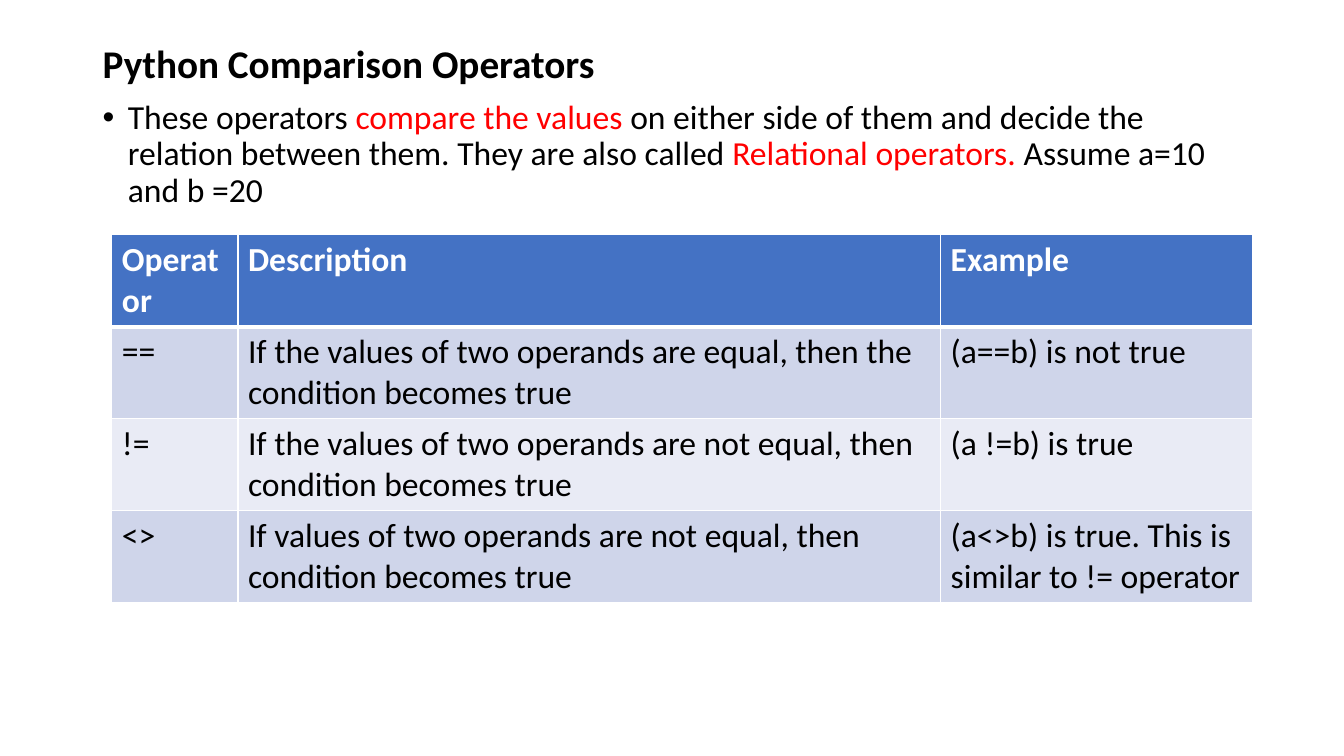
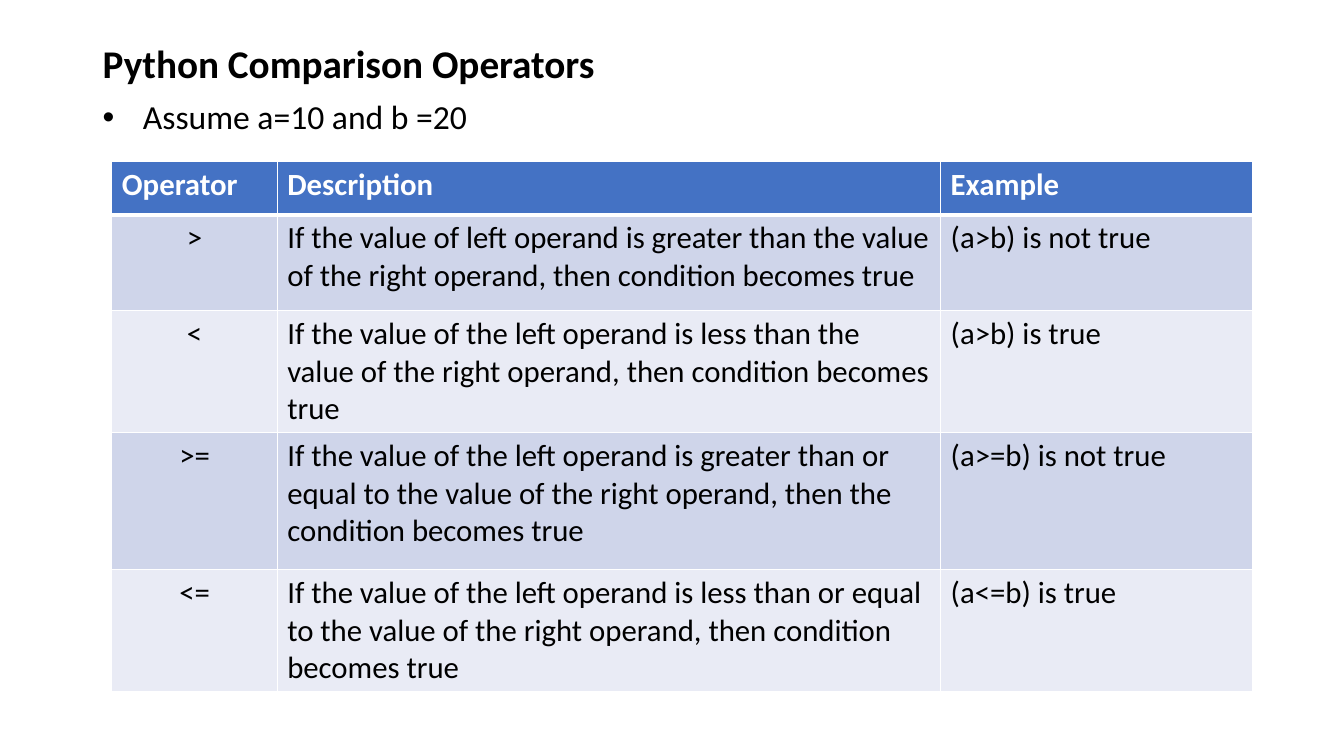
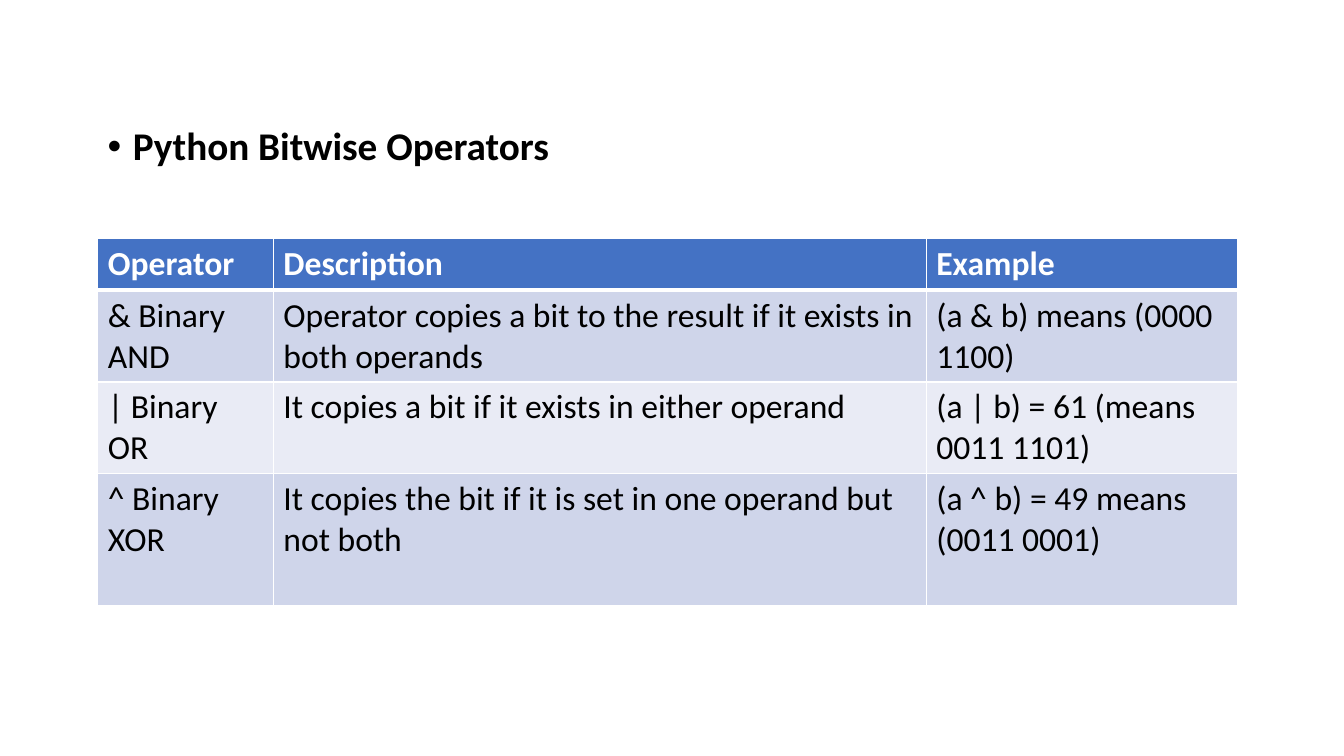
from dataclasses import dataclass

from lxml import etree
from pptx import Presentation
from pptx.dml.color import RGBColor
from pptx.enum.text import PP_ALIGN
from pptx.oxml.ns import qn
from pptx.util import Inches, Pt

FONT = "Calibri"
BLACK = RGBColor(0x00, 0x00, 0x00)
WHITE = RGBColor(0xFF, 0xFF, 0xFF)
RED = RGBColor(0xFF, 0x00, 0x00)
HEADER_BLUE = RGBColor(0x44, 0x72, 0xC4)
BANDS = (RGBColor(0xCF, 0xD5, 0xEA), RGBColor(0xE9, 0xEB, 0xF5))
LEFT, CENTER = PP_ALIGN.LEFT, PP_ALIGN.CENTER

SLIDE_WIDTH, SLIDE_HEIGHT = 13.33, 7.5
TITLE_SIZE, BODY_SIZE = 28, 24
BULLET_INDENT = 0.25
THIN, THICK = 1, 3
HEADINGS = ("Operator", "Description", "Example")


@dataclass
class Box:
    left: float
    top: float
    width: float
    height: float

    def place(self):
        return [Inches(length) for length in (self.left, self.top, self.width, self.height)]


@dataclass
class Line:
    runs: list
    size: int = BODY_SIZE
    bold: bool = False
    indent: float = 0


def title_line(text, indent=0):
    return Line([(text, BLACK)], TITLE_SIZE, True, indent)


def set_font(paragraph, size, bold, color):
    font = paragraph.font
    font.name, font.size, font.bold = FONT, Pt(size), bold
    font.color.rgb = color


def add_bullet(paragraph, indent):
    properties = paragraph._p.get_or_add_pPr()
    properties.set("marL", str(Inches(indent)))
    properties.set("indent", str(-Inches(indent)))
    etree.SubElement(properties, qn("a:buFont"), typeface="Arial")
    etree.SubElement(properties, qn("a:buChar"), char="•")


def add_body(slide, box, lines):
    frame = slide.shapes.add_textbox(*box.place()).text_frame
    frame.word_wrap = True
    for index, line in enumerate(lines):
        paragraph = frame.add_paragraph() if index else frame.paragraphs[0]
        paragraph.line_spacing = 0.9
        paragraph.space_before = Pt(10 if index else 0)
        if line.indent:
            add_bullet(paragraph, line.indent)
        set_font(paragraph, line.size, line.bold, BLACK)
        for text, color in line.runs:
            run = paragraph.add_run()
            run.text = text
            if color != BLACK:
                run.font.color.rgb = color


def set_borders(cell, top, bottom):
    properties = cell._tc.get_or_add_tcPr()
    for side, width in (("L", THIN), ("R", THIN), ("T", top), ("B", bottom)):
        border = etree.SubElement(properties, qn(f"a:ln{side}"), w=str(Pt(width)))
        fill = etree.SubElement(border, qn("a:solidFill"))
        etree.SubElement(fill, qn("a:srgbClr"), val=str(WHITE))


def fill_cell(cell, text, row, size, alignment):
    header = row == 0
    set_borders(cell, THICK if row == 1 else THIN, THICK if header else THIN)
    cell.fill.solid()
    cell.fill.fore_color.rgb = HEADER_BLUE if header else BANDS[(row - 1) % 2]
    paragraph = cell.text_frame.paragraphs[0]
    paragraph.text = text
    paragraph.alignment = alignment
    set_font(paragraph, size, header, WHITE if header else BLACK)


def add_operator_table(slide, box, columns, rows, entries, size=BODY_SIZE, operator_alignment=LEFT):
    records = [HEADINGS, *entries]
    table = slide.shapes.add_table(len(records), len(HEADINGS), *box.place()).table
    table.horz_banding = False
    for column, share in zip(table.columns, columns):
        column.width = Inches(box.width * share / sum(columns))
    for row, share in zip(table.rows, rows):
        row.height = Inches(box.height * share / sum(rows))
    for row, record in enumerate(records):
        for column, text in enumerate(record):
            alignment = operator_alignment if row and column == 0 else LEFT
            fill_cell(table.cell(row, column), text, row, size, alignment)


def add_equality_slide(slide):
    add_body(slide, Box(0.92, 0.39, 11.5, 6.37), [
        title_line("Python Comparison Operators"),
        Line([
            ("These operators ", BLACK),
            ("compare the values ", RED),
            ("on either side of them and decide the relation between them. They are also called ", BLACK),
            ("Relational operators. ", RED),
            ("Assume a=10 and b =20", BLACK),
        ], indent=BULLET_INDENT),
    ])
    add_operator_table(slide, Box(1.11, 2.33, 11.31, 3.65), (1.25, 6.97, 3.09), (1, 1, 1, 1), [
        ("==", "If the values of two operands are equal, then the condition becomes true",
         "(a==b) is not true"),
        ("!=", "If the values of two operands are not equal, then condition becomes true",
         "(a !=b) is true"),
        ("<>", "If values of two operands are not equal, then condition becomes true",
         "(a<>b) is true. This is similar to != operator"),
    ])


def add_ordering_slide(slide):
    add_body(slide, Box(0.92, 0.39, 11.5, 6.37), [
        title_line("Python Comparison Operators"),
        Line([("Assume a=10 and b =20", BLACK)], indent=0.4),
    ])
    rows = (0.53, 0.95, 1.21, 1.36, 1.21)
    add_operator_table(slide, Box(1.11, 1.6, 11.31, sum(rows)), (1.64, 6.58, 3.09), rows, [
        (">", "If the value of left operand is greater than the value of the right operand, "
         "then condition becomes true", "(a>b) is not true"),
        ("<", "If the value of the left operand is less than the value of the right operand, "
         "then condition becomes true", "(a>b) is true"),
        (">=", "If the value of the left operand is greater than or equal to the value of the "
         "right operand, then the condition becomes true", "(a>=b) is not true"),
        ("<=", "If the value of the left operand is less than or equal to the value of the "
         "right operand, then condition becomes true", "(a<=b) is true"),
    ], size=22, operator_alignment=CENTER)


def add_bitwise_slide(slide):
    add_body(slide, Box(0.97, 1.21, 11.5, 4.76), [
        title_line("Python Bitwise Operators", BULLET_INDENT),
    ])
    rows = (0.51, 0.91, 0.91, 1.31)
    add_operator_table(slide, Box(0.97, 2.37, 11.31, sum(rows)), (1.74, 6.47, 3.09), rows, [
        ("& Binary AND", "Operator copies a bit to the result if it exists in both operands",
         "(a & b) means (0000 1100)"),
        ("| Binary OR", "It copies a bit if it exists in either operand",
         "(a | b) = 61 (means 0011 1101)"),
        ("^ Binary XOR", "It copies the bit if it is set in one operand but not both",
         "(a ^ b) = 49 means (0011 0001)"),
    ])


def main():
    presentation = Presentation()
    presentation.slide_width = Inches(SLIDE_WIDTH)
    presentation.slide_height = Inches(SLIDE_HEIGHT)
    blank = presentation.slide_layouts[6]
    for build in (add_equality_slide, add_ordering_slide, add_bitwise_slide):
        build(presentation.slides.add_slide(blank))
    presentation.save("out.pptx")


if __name__ == "__main__":
    main()
